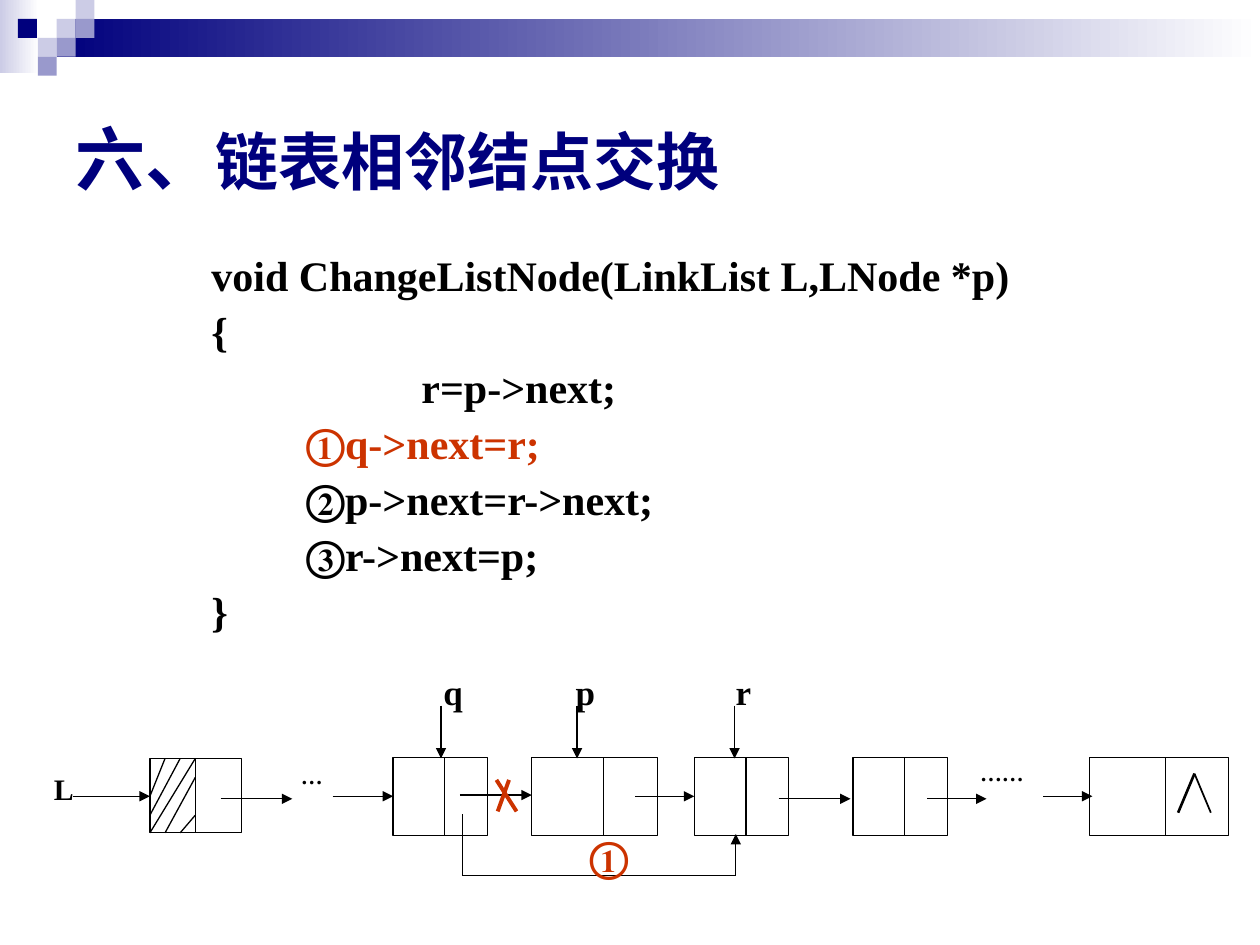
from lxml import etree
from pptx import Presentation
from pptx.dml.color import RGBColor
from pptx.enum.shapes import MSO_CONNECTOR, MSO_SHAPE
from pptx.enum.text import MSO_ANCHOR, PP_ALIGN
from pptx.oxml.ns import qn
from pptx.util import Inches, Pt

COLORS = {
    "navy": "00007D", "pale": "CCCCE6", "mid": "9999CC",
    "white": "FFFFFF", "black": "000000", "red": "CC3300",
}
SERIF = "Times New Roman"


def rgb(name):
    return RGBColor.from_string(COLORS[name])


def add_rectangle(slide, left, top, width, height, fill, outlined=False):
    """Draw a rectangle; fill is a colour, or a pair for a gradient."""
    shape = slide.shapes.add_shape(
        MSO_SHAPE.RECTANGLE, Inches(left), Inches(top), Inches(width), Inches(height))
    shape.shadow.inherit = False
    if isinstance(fill, tuple):
        shape.fill.gradient()
        shape.fill.gradient_angle = 0
        for stop, color, position in zip(shape.fill.gradient_stops, fill, (0, 1)):
            stop.color.rgb = rgb(color)
            stop.position = position
    else:
        shape.fill.solid()
        shape.fill.fore_color.rgb = rgb(fill)
    if outlined:
        shape.line.color.rgb = rgb("black")
        shape.line.width = Pt(0.75)
    else:
        shape.line.fill.background()


def add_line(slide, start, end, color="black", width=0.75, arrow=False):
    connector = slide.shapes.add_connector(
        MSO_CONNECTOR.STRAIGHT, *(Inches(value) for value in (*start, *end)))
    connector.line.color.rgb = rgb(color)
    connector.line.width = Pt(width)
    if arrow:
        line = connector.line._get_or_add_ln()
        etree.SubElement(line, qn("a:tailEnd"), type="triangle")
    etree.SubElement(connector._element.spPr, qn("a:effectLst"))


def add_text(slide, box, paragraphs, size, name=SERIF, anchor=MSO_ANCHOR.TOP,
             wrap=True, tabs=(), **paragraph_format):
    """Each paragraph is a list of (text, format values) runs."""
    shape = slide.shapes.add_textbox(*(Inches(value) for value in box))
    frame = shape.text_frame
    frame.word_wrap = wrap
    frame.vertical_anchor = anchor
    for index, runs in enumerate(paragraphs):
        paragraph = frame.add_paragraph() if index else frame.paragraphs[0]
        if tabs:
            tab_list = etree.SubElement(
                paragraph._p.get_or_add_pPr(), qn("a:tabLst"))
            for position in tabs:
                etree.SubElement(
                    tab_list, qn("a:tab"), pos=str(Inches(position)), algn="l")
        for key, value in paragraph_format.items():
            if index or key != "space_before":
                setattr(paragraph, key, value)
        for text, changes in runs:
            values = {"size": size, "color": "black", **changes}
            run = paragraph.add_run()
            run.text = text
            font = {"name": name, "bold": True, "size": Pt(values["size"])}
            for key, value in font.items():
                setattr(run.font, key, value)
            run.font.color.rgb = rgb(values["color"])


def add_banner(slide, left, top, width):
    unit = 0.15
    add_rectangle(slide, left, top, 0.31, 0.58, ("pale", "white"))
    add_rectangle(slide, left + 3 * unit, top + unit, width - 3 * unit, 2 * unit,
                  ("navy", "white"))
    # Mosaic squares by column and row
    squares = [(3, 1, "pale"), (4, 0, "pale"), (4, 1, "mid"), (2, 2, "pale"),
               (0.95, 1, "navy"), (3, 2, "mid"), (2, 3, "mid")]
    for column, row, color in squares:
        add_rectangle(slide, left + column * unit, top + row * unit, unit, unit, color)


def add_title(slide, box):
    runs = [("六、", {"color": "navy"}),
            ("链表相邻结点交换", {"color": "navy", "size": 36})]
    add_text(slide, box, [runs], 40, name="Arial", anchor=MSO_ANCHOR.MIDDLE)


def add_code(slide, box):
    lines = [
        ("void ChangeListNode(LinkList L,LNode *p)", "black"),
        ("{", "black"),
        ("　　　　　r=p->next;", "black"),
        ("\t   ①q->next=r;", "red"),
        ("\t   ②p->next=r->next;", "black"),
        ("\t   ③r->next=p;", "black"),
        ("}", "black"),
    ]
    add_text(slide, box, [[(text, {"color": color})] for text, color in lines], 24,
             line_spacing=0.9, space_before=Pt(6))


def add_node(slide, left, top, width, height, data_width):
    add_rectangle(slide, left, top, width, height, "white", outlined=True)
    divider = left + data_width
    add_line(slide, (divider, top), (divider, top + height))


def add_list_diagram(slide, left, top):
    def at(x, y):
        return left + x, top + y

    # Nodes: left, width, width of the data field
    for x, width, data_width in [(3.12, 0.75, 0.41), (4.22, 1, 0.57), (5.51, 0.75, 0.41),
                                 (6.77, 0.75, 0.41), (8.65, 1.1, 0.6)]:
        add_node(slide, *at(x, 1.01), width, 0.62, data_width)

    # Hatched head node
    add_node(slide, *at(1.19, 1.02), 0.73, 0.59, 0.36)
    for start, end in [((1.55, 1.02), (1.19, 1.61)), ((1.31, 1.02), (1.19, 1.32)),
                       ((1.43, 1.02), (1.19, 1.47)), ((1.55, 1.17), (1.31, 1.61)),
                       ((1.55, 1.47), (1.43, 1.61))]:
        add_line(slide, at(*start), at(*end))

    # Links between nodes
    for x, end_x, y in [(0.58, 1.19, 1.32), (1.75, 2.32, 1.34), (2.64, 3.12, 1.32),
                        (3.65, 4.22, 1.31), (5.04, 5.51, 1.32), (6.18, 6.75, 1.34),
                        (7.36, 7.83, 1.34), (8.28, 8.67, 1.32)]:
        add_line(slide, at(x, y), at(end_x, y), arrow=True)

    # Pointers q, p and r
    for x in (3.5, 4.58, 5.83):
        add_line(slide, at(x, 0.6), at(x, 1.02), arrow=True)
    add_text(slide, (*at(3.42, 0.27), 3.83, 0.44), [[("q\tp\tr", {})]], 20,
             tabs=(1.05, 2.32))

    # Null mark in the last node
    add_line(slide, at(9.35, 1.45), at(9.48, 1.14), width=1.5)
    add_line(slide, at(9.48, 1.14), at(9.61, 1.45), width=1)

    # New link from q to r, and the cross on the old one
    add_line(slide, at(3.67, 1.95), at(3.67, 1.46), width=0.25)
    add_line(slide, at(3.67, 1.95), at(5.84, 1.95))
    add_line(slide, at(5.84, 1.95), at(5.84, 1.62), arrow=True)
    add_line(slide, at(4.04, 1.19), at(3.95, 1.44), "red", 2.25)
    add_line(slide, at(3.94, 1.19), at(4.1, 1.44), "red", 2.25)
    add_text(slide, (*at(4.58, 1.54), 0.51, 0.5), [[("①", {"color": "red"})]], 24,
             wrap=False)

    # List name and ellipses
    for text, x, y, width, height, size, spacing in [
            ("L", 0.33, 1.1, 0.42, 0.42, 17, 0.9),
            ("…", 2.29, 1.04, 0.48, 0.33, 12.5, 0.8),
            ("……", 7.68, 1.02, 0.82, 0.33, 12.5, 0.8)]:
        add_text(slide, (*at(x, y), width, height), [[(text, {})]], size,
                 alignment=PP_ALIGN.JUSTIFY, line_spacing=spacing)


def main():
    presentation = Presentation()
    presentation.slide_width = Inches(10)
    presentation.slide_height = Inches(7.5)
    slide = presentation.slides.add_slide(presentation.slide_layouts[6])
    add_banner(slide, 0, 0, 10)
    add_list_diagram(slide, 0, 5)
    add_code(slide, (1.58, 1.98, 6.93, 3.43))
    add_title(slide, (0.5, 0.5, 9, 1.5))
    presentation.save("out.pptx")


if __name__ == "__main__":
    main()
